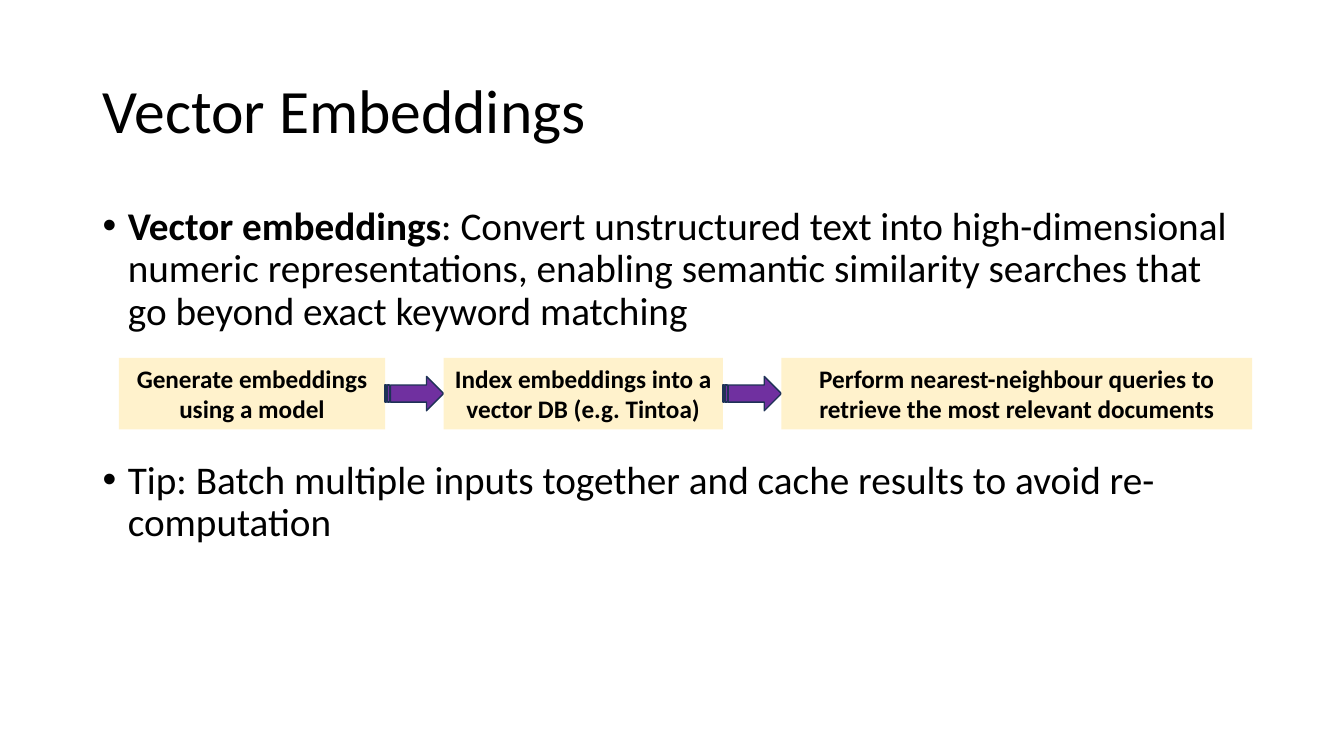
from lxml import etree
from pptx import Presentation
from pptx.dml.color import RGBColor
from pptx.enum.shapes import MSO_SHAPE
from pptx.enum.text import MSO_ANCHOR, PP_ALIGN
from pptx.oxml.ns import qn
from pptx.util import Inches, Pt

RECT = MSO_SHAPE.RECTANGLE
ARROW = MSO_SHAPE.STRIPED_RIGHT_ARROW
MIDDLE, TOP = MSO_ANCHOR.MIDDLE, MSO_ANCHOR.TOP
CENTER = PP_ALIGN.CENTER

BLACK = RGBColor(0x00, 0x00, 0x00)
CREAM = RGBColor(0xFF, 0xF2, 0xCC)
PURPLE = RGBColor(0x70, 0x30, 0xA0)
NAVY = RGBColor(0x1E, 0x32, 0x56)
FONT = "Calibri"

# Flow row: left edge, top, box height, gap between boxes, arrow height
LEFT, ROW, HIGH, GAP, THICK = 1.18, 3.55, 0.71, 0.58, 0.34
STEPS = [
    ("Generate embeddings using a model", 2.64),
    ("Index embeddings into a vector DB (e.g. Tintoa)", 2.77),
    ("Perform nearest-neighbour queries to retrieve the most relevant documents", 4.67),
]
POINTS = [
    # space before, runs as (text, bold)
    (10, [("Vector embeddings", True),
          (": Convert unstructured text into high-dimensional numeric "
           "representations, enabling semantic similarity searches that go "
           "beyond exact keyword matching", False)]),
    (90.5, [("Tip: Batch multiple inputs together and cache results to avoid "
             "re-computation", False)]),
]


def add_run(para, text, size, bold=False):
    run = para.add_run()
    run.text = text
    font = run.font
    font.name, font.size, font.bold = FONT, Pt(size), bold
    font.color.rgb = BLACK


def add_box(slide, left, top, width, height, anchor):
    box = slide.shapes.add_textbox(Inches(left), Inches(top), Inches(width), Inches(height))
    frame = box.text_frame
    frame.word_wrap = True
    frame.vertical_anchor = anchor
    return frame


def add_shape(slide, kind, left, top, width, height, fill):
    shape = slide.shapes.add_shape(
        kind, Inches(left), Inches(top), Inches(width), Inches(height))
    shape.shadow.inherit = False
    shape.fill.solid()
    shape.fill.fore_color.rgb = fill
    return shape


def set_bullet(para):
    props = para._p.get_or_add_pPr()
    props.set("marL", str(Inches(0.25)))
    props.set("indent", str(Inches(-0.25)))
    font = etree.SubElement(props, qn("a:buFont"))
    font.set("typeface", "Arial")
    mark = etree.SubElement(props, qn("a:buChar"))
    mark.set("char", "•")


def add_title(slide, text):
    para = add_box(slide, 0.92, 0.4, 11.5, 1.45, MIDDLE).paragraphs[0]
    para.line_spacing = 0.9
    add_run(para, text, 44)


def add_points(slide, points):
    frame = add_box(slide, 0.92, 2, 11.5, 4.76, TOP)
    for i, (space, runs) in enumerate(points):
        para = frame.add_paragraph() if i else frame.paragraphs[0]
        para.line_spacing = 0.9
        para.space_before = Pt(space)
        set_bullet(para)
        for text, bold in runs:
            add_run(para, text, 28, bold)


def add_step(slide, left, width, text):
    box = add_shape(slide, RECT, left, ROW, width, HIGH, CREAM)
    box.line.fill.background()
    frame = box.text_frame
    frame.word_wrap = True
    frame.vertical_anchor = TOP
    para = frame.paragraphs[0]
    para.alignment = CENTER
    add_run(para, text, 18, True)


def add_arrow(slide, left):
    top = ROW + (HIGH - THICK) / 2
    arrow = add_shape(slide, ARROW, left, top, GAP, THICK, PURPLE)
    arrow.line.color.rgb = NAVY
    arrow.line.width = Pt(1)


def add_flow(slide, steps):
    left = LEFT
    for i, (text, width) in enumerate(steps):
        if i:
            add_arrow(slide, left)
            left += GAP
        add_step(slide, left, width, text)
        left += width


def main():
    deck = Presentation()
    deck.slide_width, deck.slide_height = Inches(13.33), Inches(7.5)
    slide = deck.slides.add_slide(deck.slide_layouts[6])
    # Heading and bullets
    add_title(slide, "Vector Embeddings")
    add_points(slide, POINTS)
    # Three steps joined by arrows
    add_flow(slide, STEPS)
    deck.save("out.pptx")


if __name__ == "__main__":
    main()
